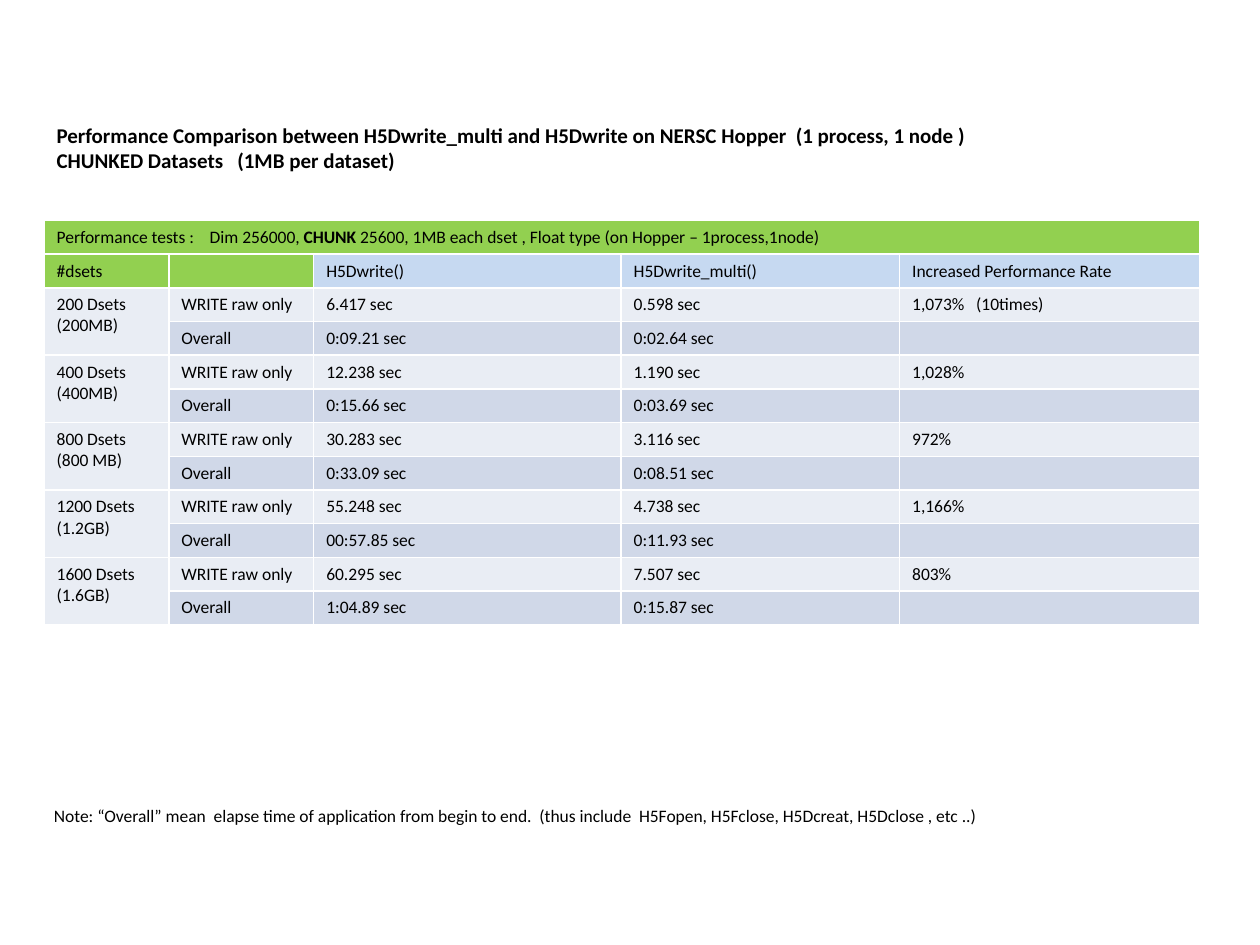
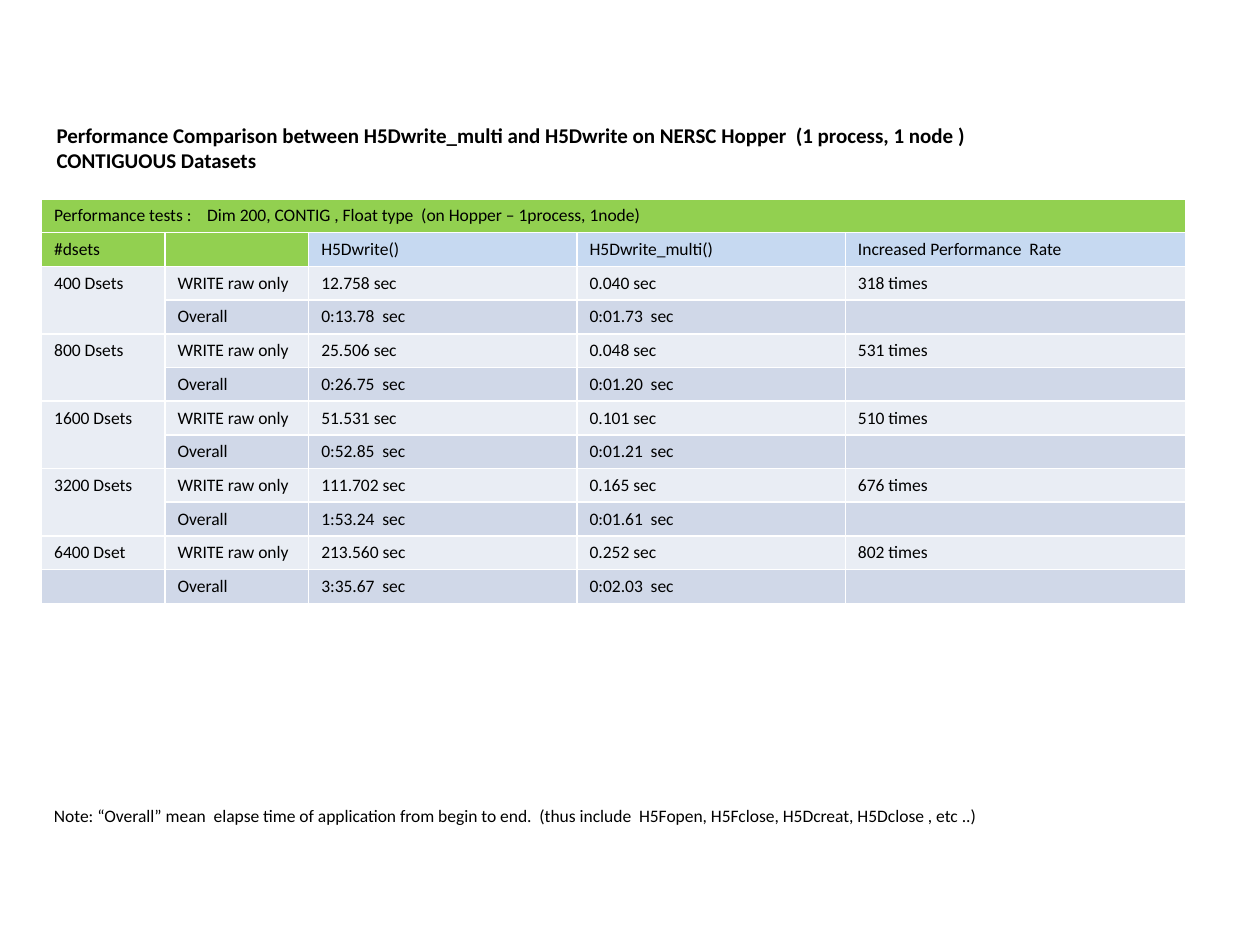
from lxml import etree
from pptx import Presentation
from pptx.dml.color import RGBColor
from pptx.oxml.ns import qn
from pptx.util import Inches, Pt

# Shared content
TITLE = "Performance Comparison between H5Dwrite_multi and H5Dwrite on NERSC Hopper  (1 process, 1 node )"
NOTE = ("Note: “Overall” mean  elapse time of application from begin to end.  "
        "(thus include  H5Fopen, H5Fclose, H5Dcreat, H5Dclose , etc ..)")
MEASURES = ("WRITE raw only", "Overall")

# Groups: label, (H5Dwrite raw, overall), (H5Dwrite_multi raw, overall), rate
SLIDES = [
    dict(
        subtitle="CHUNKED Datasets   (1MB per dataset)",
        left=0.35, top=1.75, widths=(0.99, 1.15, 2.44, 2.21, 2.38),
        caption=[("Performance tests :    Dim 256000, ", False), ("CHUNK", True),
                 (" 25600, 1MB each dset , Float type (on Hopper – 1process,1node)", False)],
        rate_head="Increased Performance Rate",
        merged_groups=5,
        groups=[
            ("200 Dsets\n(200MB)", ("6.417 sec", "0:09.21 sec"), ("0.598 sec", "0:02.64 sec"), "1,073%   (10times)"),
            ("400 Dsets\n(400MB)", ("12.238 sec", "0:15.66 sec"), ("1.190 sec", "0:03.69 sec"), "1,028%"),
            ("800 Dsets\n(800 MB)", ("30.283 sec", "0:33.09 sec"), ("3.116 sec", "0:08.51 sec"), "972%"),
            ("1200 Dsets\n(1.2GB)", ("55.248 sec", "00:57.85 sec"), ("4.738 sec", "0:11.93 sec"), "1,166%"),
            ("1600 Dsets\n(1.6GB)", ("60.295 sec", "1:04.89 sec"), ("7.507 sec", "0:15.87 sec"), "803%"),
        ],
    ),
    dict(
        subtitle="CONTIGUOUS Datasets",
        left=0.33, top=1.58, widths=(0.98, 1.14, 2.13, 2.13, 2.7),
        caption=[("Performance tests :    Dim 200, CONTIG , Float type  (on Hopper – 1process, 1node)", False)],
        rate_head="Increased Performance  Rate",
        merged_groups=4,
        groups=[
            ("400 Dsets", ("12.758 sec", "0:13.78  sec"), ("0.040 sec", "0:01.73  sec"), "318 times"),
            ("800 Dsets", ("25.506 sec", "0:26.75  sec"), ("0.048 sec", "0:01.20  sec"), "531 times"),
            ("1600 Dsets", ("51.531 sec", "0:52.85  sec"), ("0.101 sec", "0:01.21  sec"), "510 times"),
            ("3200 Dsets", ("111.702 sec", "1:53.24  sec"), ("0.165 sec", "0:01.61  sec"), "676 times"),
            ("6400 Dset", ("213.560 sec", "3:35.67  sec"), ("0.252 sec", "0:02.03  sec"), "802 times"),
        ],
    ),
]

# Style
FONT = "Calibri"
BODY_SIZE, TITLE_SIZE = 10, 12
BLACK = RGBColor(0x00, 0x00, 0x00)
WHITE = RGBColor(0xFF, 0xFF, 0xFF)
GREEN = RGBColor(0x92, 0xD0, 0x50)
HEAD_BLUE = RGBColor(0xC6, 0xD9, 0xF1)
BANDS = (RGBColor(0xE9, 0xED, 0xF4), RGBColor(0xD0, 0xD8, 0xE8))
TABLE_HEIGHT = 3.2


def format_runs(tf, size, bold=False):
    for p in tf.paragraphs:
        for r in p.runs:
            r.font.name, r.font.size, r.font.bold = FONT, Pt(size), bold
            r.font.color.rgb = BLACK


def add_text(s, left, top, height, text, size, bold=False):
    tf = s.shapes.add_textbox(Inches(left), Inches(top), Inches(9.09), Inches(height)).text_frame
    tf.word_wrap = True
    tf.text = text
    format_runs(tf, size, bold)


def style_cell(cell, color):
    cell.fill.solid()
    cell.fill.fore_color.rgb = color
    tc_pr = cell._tc.get_or_add_tcPr()
    for i, side in enumerate(("lnL", "lnR", "lnT", "lnB")):
        ln = etree.Element(qn(f"a:{side}"), w=str(Pt(1)))
        fill = etree.SubElement(ln, qn("a:solidFill"))
        etree.SubElement(fill, qn("a:srgbClr"), val=str(WHITE))
        tc_pr.insert(i, ln)
    # Keeps empty cells as low as the filled ones
    for p in cell.text_frame.paragraphs:
        if not p.runs:
            p._p.get_or_add_endParaRPr().set("sz", str(BODY_SIZE * 100))


def table_rows(spec):
    rows = [[""] * 5, ["#dsets", "", "H5Dwrite()", "H5Dwrite_multi()", spec["rate_head"]]]
    for label, write, multi, rate in spec["groups"]:
        rows.append([label, MEASURES[0], write[0], multi[0], rate])
        rows.append(["", MEASURES[1], write[1], multi[1], ""])
    return rows


def cell_color(row, col):
    if row == 0 or (row == 1 and col < 2):
        return GREEN
    return HEAD_BLUE if row == 1 else BANDS[row % 2]


def add_timings(s, spec):
    rows, widths = table_rows(spec), spec["widths"]
    table = s.shapes.add_table(len(rows), len(widths), Inches(spec["left"]), Inches(spec["top"]),
                               Inches(sum(widths)), Inches(TABLE_HEIGHT)).table
    table.first_row = table.horz_banding = False
    for column, width in zip(table.columns, widths):
        column.width = Inches(width)

    for i, row in enumerate(rows):
        for j, text in enumerate(row):
            cell = table.cell(i, j)
            if text:
                cell.text = text
                format_runs(cell.text_frame, BODY_SIZE)
            style_cell(cell, cell_color(i, j))

    # Caption across the top
    table.cell(0, 0).merge(table.cell(0, len(widths) - 1))
    tf = table.cell(0, 0).text_frame
    for text, _ in spec["caption"]:
        tf.paragraphs[0].add_run().text = text
    format_runs(tf, BODY_SIZE)
    for r, (_, bold) in zip(tf.paragraphs[0].runs, spec["caption"]):
        r.font.bold = bold

    # Dataset labels span both measures
    for g in range(spec["merged_groups"]):
        top = 2 + 2 * g
        table.cell(top, 0).merge(table.cell(top + 1, 0))


def main():
    prs = Presentation()
    prs.slide_width, prs.slide_height = Inches(10), Inches(7.5)
    for spec in SLIDES:
        s = prs.slides.add_slide(prs.slide_layouts[6])
        add_text(s, 0.35, 0.92, 0.5, f"{TITLE}\n{spec['subtitle']}", TITLE_SIZE, bold=True)
        add_timings(s, spec)
        add_text(s, 0.33, 6.34, 0.27, NOTE, BODY_SIZE)
    prs.save("out.pptx")


if __name__ == "__main__":
    main()
